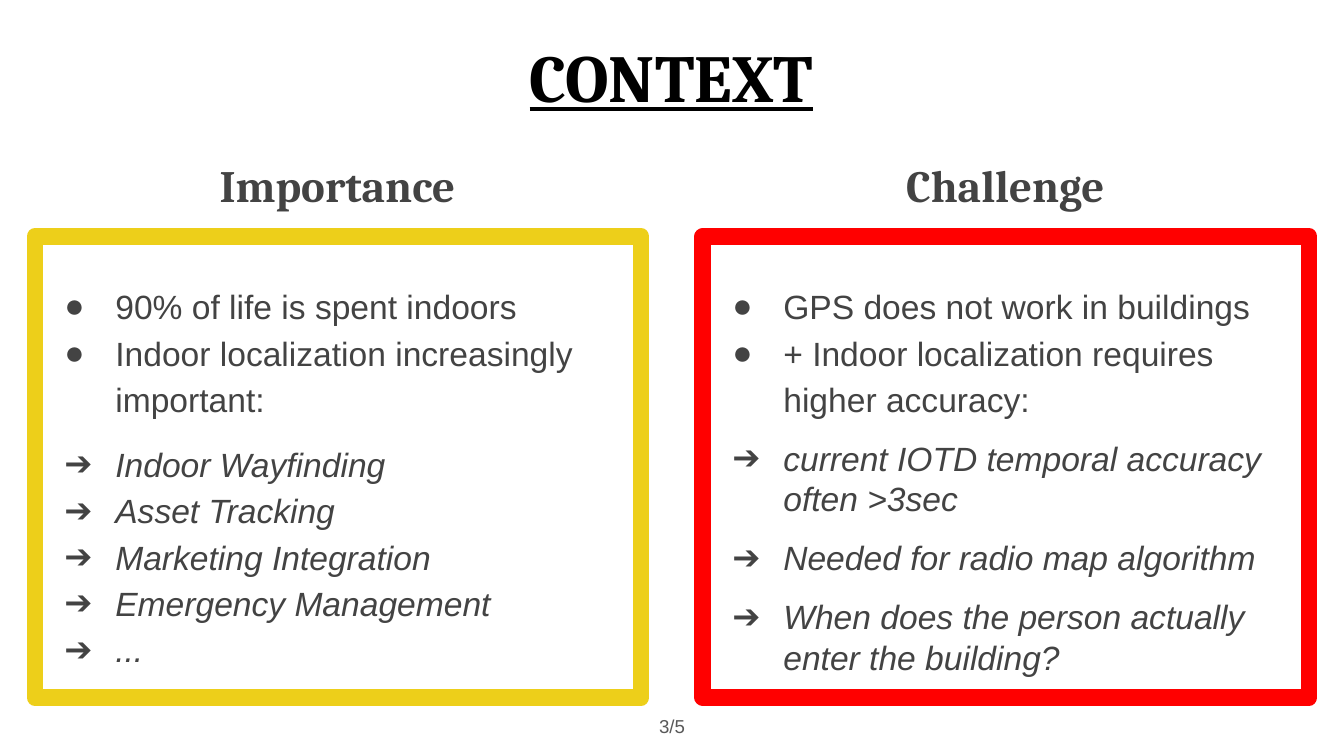
from dataclasses import dataclass

import pptx
import pptx.dml.color
import pptx.enum.shapes
import pptx.enum.text
import pptx.util
from lxml import etree
from pptx.dml.color import RGBColor
from pptx.util import Inches

BLACK = RGBColor(0x00, 0x00, 0x00)
DARK_GRAY = RGBColor(0x43, 0x43, 0x43)
PAGE_GRAY = RGBColor(0x59, 0x59, 0x59)
YELLOW = RGBColor(0xED, 0xCF, 0x1A)
RED = RGBColor(0xFF, 0x00, 0x00)
HEADING_FONT = "Cambria"
BODY_FONT = "Arial"
DOT, ARROW = "●", "➔"
DRAWING = "http://schemas.openxmlformats.org/drawingml/2006/main"


@dataclass
class Item:
    text: str
    bullet: str = ARROW
    line_spacing: float = 1.15
    space_before: int = 0


@dataclass
class Column:
    heading: str
    heading_left: float
    frame_left: float
    color: RGBColor
    items: list[Item]


COLUMNS = [
    Column("Importance", 1.22, 0.26, YELLOW, [
        Item("90% of life is spent indoors", DOT, 1.5),
        Item("Indoor localization increasingly important:", DOT),
        Item("Indoor Wayfinding", space_before=10),
        Item("Asset Tracking"),
        Item("Marketing Integration"),
        Item("Emergency Management"),
        Item("..."),
    ]),
    Column("Challenge", 6.19, 5.23, RED, [
        Item("GPS does not work in buildings", DOT, 1.5),
        Item("+ Indoor localization requires higher accuracy:", DOT),
        Item("current IOTD temporal accuracy often >3sec", ARROW, 1.0, 10),
        Item("Needed for radio map algorithm", ARROW, 1.0, 10),
        Item("When does the person actually enter the building?", ARROW, 1.0, 10),
    ]),
]


def write(paragraph, text: str, *, size: float, font: str, color: RGBColor,
          align=pptx.enum.text.PP_ALIGN.CENTER, bold: bool = False,
          italic: bool = False, underline: bool = False) -> None:
    paragraph.alignment = align
    run = paragraph.add_run()
    run.text = text
    run.font.size = pptx.util.Pt(size)
    run.font.name = font
    run.font.color.rgb = color
    run.font.bold = bold
    run.font.italic = italic
    run.font.underline = underline


def prepare_frame(shape, anchor, top_inset: float = 0.1):
    """Set wrapping, insets and anchor, and return the text frame."""
    frame = shape.text_frame
    frame.word_wrap = True
    frame.vertical_anchor = anchor
    frame.margin_left = frame.margin_right = frame.margin_bottom = Inches(0.1)
    frame.margin_top = Inches(top_inset)
    return frame


def add_label(slide, text: str, left: float, top: float, width: float, height: float,
              anchor=pptx.enum.text.MSO_ANCHOR.TOP, **text_format) -> None:
    box = slide.shapes.add_textbox(Inches(left), Inches(top), Inches(width), Inches(height))
    write(prepare_frame(box, anchor).paragraphs[0], text, **text_format)


def add_bullet(paragraph, character: str) -> None:
    properties = paragraph._p.get_or_add_pPr()
    properties.set("marL", str(Inches(0.5)))
    properties.set("indent", str(Inches(-0.38)))
    bullet_color = etree.SubElement(properties, f"{{{DRAWING}}}buClr")
    etree.SubElement(bullet_color, f"{{{DRAWING}}}srgbClr", val=str(DARK_GRAY))
    etree.SubElement(properties, f"{{{DRAWING}}}buFont", typeface=BODY_FONT)
    etree.SubElement(properties, f"{{{DRAWING}}}buChar", char=character)


def add_framed_list(slide, column: Column) -> None:
    shape = slide.shapes.add_shape(
        pptx.enum.shapes.MSO_SHAPE.RECTANGLE,
        Inches(column.frame_left), Inches(1.76), Inches(4.51), Inches(3.43))
    shape.shadow.inherit = False
    shape.fill.background()
    shape.line.color.rgb = column.color
    shape.line.width = pptx.util.Pt(9)
    etree.SubElement(shape.line._get_or_add_ln(), f"{{{DRAWING}}}round")

    frame = prepare_frame(shape, pptx.enum.text.MSO_ANCHOR.TOP, top_inset=0.22)
    for index, item in enumerate(column.items):
        paragraph = frame.add_paragraph() if index else frame.paragraphs[0]
        paragraph.line_spacing = item.line_spacing
        paragraph.space_before = pptx.util.Pt(item.space_before)
        add_bullet(paragraph, item.bullet)
        write(paragraph, item.text, size=18, font=BODY_FONT, color=DARK_GRAY,
              align=pptx.enum.text.PP_ALIGN.LEFT, italic=item.bullet == ARROW)


def main() -> None:
    presentation = pptx.Presentation()
    presentation.slide_width = Inches(10)
    presentation.slide_height = Inches(10) * 9 // 16
    slide = presentation.slides.add_slide(presentation.slide_layouts[6])

    add_label(slide, "CONTEXT", 3.01, 0.16, 3.97, 0.68, size=36,
              font=HEADING_FONT, color=BLACK, bold=True, underline=True)
    for column in COLUMNS:
        add_framed_list(slide, column)
        add_label(slide, column.heading, column.heading_left, 1.07, 2.58, 0.68,
                  size=24, font=HEADING_FONT, color=DARK_GRAY, bold=True)
    add_label(slide, "3/5", 4.7, 5.19, 0.6, 0.43, pptx.enum.text.MSO_ANCHOR.MIDDLE,
              size=10, font=BODY_FONT, color=PAGE_GRAY)

    presentation.save("out.pptx")


if __name__ == "__main__":
    main()
